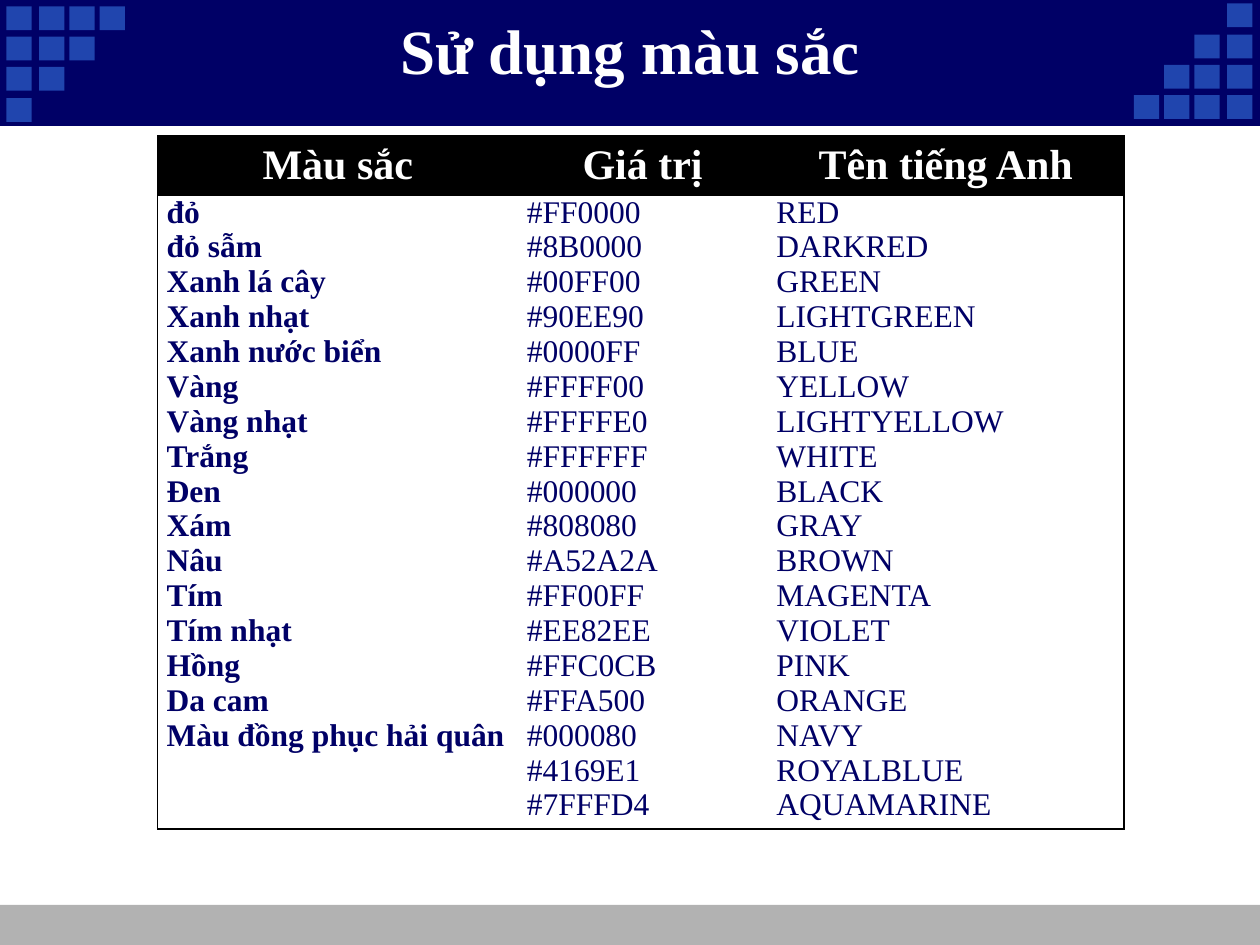
from dataclasses import dataclass

from lxml.etree import SubElement as Sub
from pptx import Presentation
from pptx.dml.color import RGBColor as RGB
from pptx.enum.shapes import MSO_SHAPE as Shape
from pptx.enum.text import MSO_ANCHOR as Anchor, PP_ALIGN as Align
from pptx.oxml.ns import qn
from pptx.util import Cm, Pt

NAVY = RGB(0x00, 0x00, 0x66)
BLUE = RGB(0x20, 0x45, 0xAE)
GRAY = RGB(0xB2, 0xB2, 0xB2)
WHITE = RGB(0xFF, 0xFF, 0xFF)
BLACK = RGB(0x00, 0x00, 0x00)
FACE = "Times New Roman"


@dataclass
class Box:
    left: float
    top: float
    width: float
    height: float

    def lengths(self) -> list:
        return [Cm(n) for n in (self.left, self.top, self.width, self.height)]


@dataclass
class Column:
    head: str
    width: float
    bold: bool
    items: str


COLUMNS = [
    Column("Màu sắc", 7.26, True,
           "đỏ\nđỏ sẫm\nXanh lá cây\nXanh nhạt\nXanh nước biển\nVàng\n"
           "Vàng nhạt\nTrắng\nĐen\nXám\nNâu\nTím\nTím nhạt\nHồng\nDa cam\n"
           "Màu đồng phục hải quân"),
    Column("Giá trị", 5.03, False,
           "#FF0000\n#8B0000\n#00FF00\n#90EE90\n#0000FF\n#FFFF00\n#FFFFE0\n"
           "#FFFFFF\n#000000\n#808080\n#A52A2A\n#FF00FF\n#EE82EE\n#FFC0CB\n"
           "#FFA500\n#000080\n#4169E1\n#7FFFD4"),
    Column("Tên tiếng Anh", 7.19, False,
           "RED\nDARKRED\nGREEN\nLIGHTGREEN\nBLUE\nYELLOW\nLIGHTYELLOW\n"
           "WHITE\nBLACK\nGRAY\nBROWN\nMAGENTA\nVIOLET\nPINK\nORANGE\nNAVY\n"
           "ROYALBLUE\nAQUAMARINE"),
]
ROWS = [1.19, 12.78]


def draw_rect(slide, box: Box, color: RGB) -> None:
    rect = slide.shapes.add_shape(Shape.RECTANGLE, *box.lengths())
    rect.shadow.inherit = False
    rect.fill.solid()
    rect.fill.fore_color.rgb = color
    rect.line.fill.background()


def write(frame, text: str, size: int, color: RGB, bold: bool, align) -> None:
    frame.text = text
    look = {"name": FACE, "size": Pt(size), "bold": bold}
    for para in frame.paragraphs:
        para.alignment = align
        para.font.color.rgb = color
        for run in para.runs:
            run.font.color.rgb = color
            for key, value in look.items():
                setattr(run.font, key, value)


def draw_edges(cell, shown: str) -> None:
    props = cell._tc.get_or_add_tcPr()
    for side in "LRTB":
        edge = Sub(props, qn(f"a:ln{side}"), w=str(Pt(1)))
        if side in shown:
            fill = Sub(edge, qn("a:solidFill"))
            Sub(fill, qn("a:srgbClr"), val=str(BLACK))
        else:
            Sub(edge, qn("a:noFill"))


def draw_squares(slide) -> None:
    # Each row is one square shorter; the right corner is a half turn of the left
    lefts = [0.13, 0.79, 1.4, 2.01]
    tops = [0.13, 0.74, 1.35, 1.98]
    for row, top in enumerate(tops):
        for left in lefts[:4 - row]:
            draw_rect(slide, Box(left, top, 0.51, 0.48), BLUE)
            draw_rect(slide, Box(24.87 - left, 2.05 - top, 0.51, 0.48), BLUE)


def draw_table(slide) -> None:
    width = sum(col.width for col in COLUMNS)
    box = Box(3.18, 2.74, width, sum(ROWS))
    table = slide.shapes.add_table(2, 3, *box.lengths()).table
    table.first_row = table.horz_banding = False
    for row, height in zip(table.rows, ROWS):
        row.height = Cm(height)
    margins = {"margin_left": Cm(0.18), "margin_right": Cm(0.18),
               "margin_top": 0, "margin_bottom": 0}
    for num, col in enumerate(COLUMNS):
        table.columns[num].width = Cm(col.width)
        head, body = table.cell(0, num), table.cell(1, num)
        for cell in (head, body):
            for key, value in margins.items():
                setattr(cell, key, value)
            draw_edges(cell, "TB" + {0: "L", 2: "R"}.get(num, ""))
        head.fill.solid()
        head.fill.fore_color.rgb = BLACK
        head.vertical_anchor = Anchor.MIDDLE
        body.fill.background()
        write(head.text_frame, col.head, 24, WHITE, True, Align.CENTER)
        write(body.text_frame, col.items, 18, NAVY, col.bold, Align.LEFT)


def main() -> None:
    deck = Presentation()
    deck.slide_width, deck.slide_height = Cm(25.4), Cm(19.05)
    slide = deck.slides.add_slide(deck.slide_layouts[5])

    # Bands and corner squares
    draw_rect(slide, Box(0, 18.24, 25.4, 0.81), GRAY)
    draw_rect(slide, Box(0, 0, 25.4, 2.54), NAVY)
    draw_squares(slide)

    # Title, raised above the band
    title = slide.shapes.title
    title.left, title.top, title.width, title.height = Box(
        1.27, 0.2, 22.86, 1.57).lengths()
    title.text_frame.vertical_anchor = Anchor.MIDDLE
    write(title.text_frame, "Sử dụng màu sắc", 36, WHITE, True, Align.CENTER)
    title.element.getparent().append(title.element)

    # Colour table
    draw_table(slide)
    deck.save("out.pptx")


if __name__ == "__main__":
    main()
